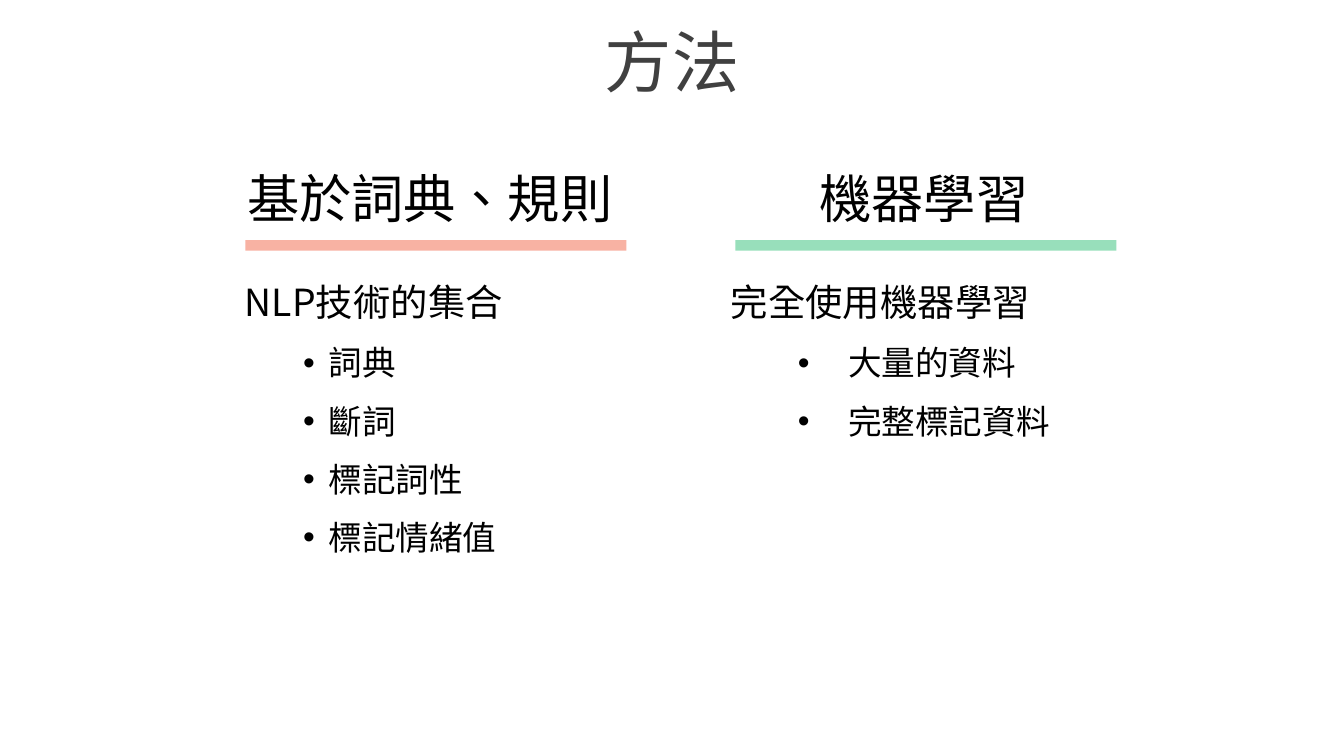
from lxml import etree
from pptx import Presentation
from pptx import util as u
from pptx.dml.color import RGBColor
from pptx.enum import shapes, text
from pptx.oxml import ns

GREY = RGBColor(0x40, 0x40, 0x40)
BLACK = RGBColor(0, 0, 0)
CORAL = RGBColor(0xF8, 0xB2, 0xA3)
MINT = RGBColor(0x98, 0xDF, 0xBB)


class MethodSlide:
    """Holds the text style and the slide being filled."""

    font = "Noto Sans CJK SC"
    language = "zh-TW"

    def __init__(self, deck):
        self.slide = deck.slides.add_slide(deck.slide_layouts[5])

    def run(self, paragraph, words, size, color=BLACK):
        run = paragraph.add_run()
        run.text = words
        run.font.size = u.Pt(size)
        run.font.name = self.font
        run.font.color.rgb = color
        run.font._element.set("lang", self.language)
        east_asian = etree.SubElement(run.font._element, ns.qn("a:ea"))
        east_asian.set("typeface", self.font)

    def title(self, words):
        title = self.slide.shapes.title
        title.left, title.top = u.Cm(0), u.Cm(0.34)
        title.width, title.height = u.Cm(25.4), u.Cm(1.6)
        frame = title.text_frame
        frame.auto_size = text.MSO_AUTO_SIZE.NONE
        frame.vertical_anchor = text.MSO_ANCHOR.MIDDLE
        frame.paragraphs[0].alignment = text.PP_ALIGN.CENTER
        self.run(frame.paragraphs[0], words, 36, GREY)

    def bar(self, left, color):
        bar = self.slide.shapes.add_shape(
            shapes.MSO_SHAPE.RECTANGLE, u.Cm(left), u.Cm(4.54), u.Cm(7.2), u.Cm(0.2))
        bar.shadow.inherit = False
        bar.fill.solid()
        bar.fill.fore_color.rgb = color
        bar.line.fill.background()

    def box(self, left, top, width, height):
        box = self.slide.shapes.add_textbox(u.Cm(left), u.Cm(top), u.Cm(width), u.Cm(height))
        box.text_frame.word_wrap = True
        return box.text_frame

    def heading(self, words, left, width):
        self.run(self.box(left, 3.02, width, 1.45).paragraphs[0], words, 28)

    def body(self, lead, points, left, height, lead_indent, indent, hanging):
        frame = self.box(left, 5.16, 7.87, height)
        frame.paragraphs[0]._p.get_or_add_pPr().set("marL", str(u.Cm(lead_indent)))
        self.run(frame.paragraphs[0], lead, 20)
        for point in points:
            paragraph = frame.add_paragraph()
            paragraph.level = 1
            paragraph.space_before = u.Pt(9.6)
            properties = paragraph._p.get_or_add_pPr()
            properties.set("marL", str(u.Cm(indent)))
            properties.set("indent", str(-u.Cm(hanging)))
            bullet_font = etree.SubElement(properties, ns.qn("a:buFont"))
            bullet_font.set("typeface", "Arial")
            etree.SubElement(properties, ns.qn("a:buChar")).set("char", "•")
            self.run(paragraph, point, 18)


def main():
    deck = Presentation()
    deck.slide_width, deck.slide_height = u.Cm(25.4), u.Cm(14.29)
    methods = MethodSlide(deck)
    methods.title("方法")
    methods.bar(4.64, CORAL)
    methods.bar(13.9, MINT)
    methods.body("NLP技術的集合", ["詞典", "斷詞", "標記詞性", "標記情緒值"],
                 4.22, 5.56, 0.16, 1.74, 0.48)
    methods.body("完全使用機器學習", ["大量的資料", "完整標記資料"],
                 13.56, 3.33, 0, 2.22, 0.95)
    methods.heading("基於詞典、規則", 4.42, 7.6)
    methods.heading("機器學習", 15.24, 4.6)
    deck.save("out.pptx")


if __name__ == "__main__":
    main()
